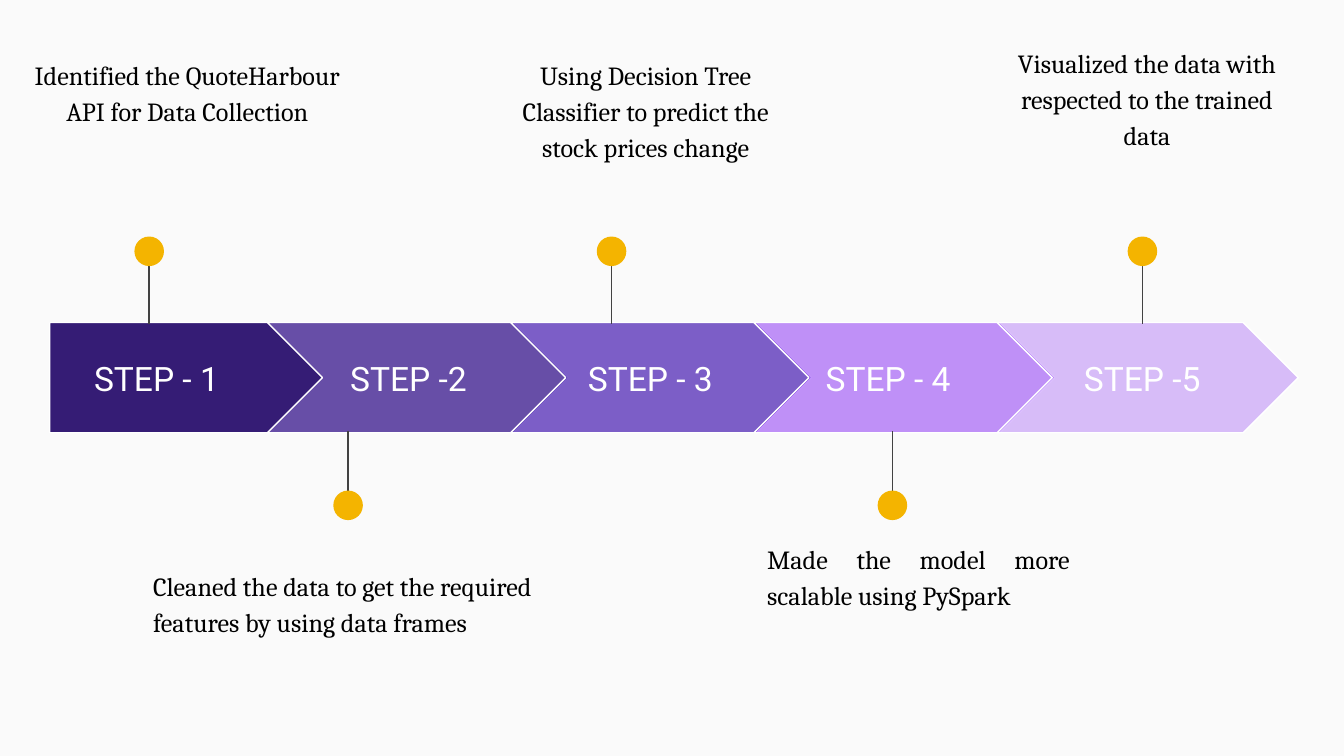
from lxml import etree
from pptx import Presentation
from pptx.dml.color import RGBColor
from pptx.enum.shapes import MSO_CONNECTOR, MSO_SHAPE
from pptx.enum.text import MSO_ANCHOR, PP_ALIGN
from pptx.oxml.ns import qn
from pptx.util import Inches, Pt

PENTAGON, CHEVRON, OVAL = MSO_SHAPE.PENTAGON, MSO_SHAPE.CHEVRON, MSO_SHAPE.OVAL
STRAIGHT = MSO_CONNECTOR.STRAIGHT
TOP, MIDDLE = MSO_ANCHOR.TOP, MSO_ANCHOR.MIDDLE
LEFT, CENTER, JUSTIFY = PP_ALIGN.LEFT, PP_ALIGN.CENTER, PP_ALIGN.JUSTIFY

COLORS = {
    "background": "FAFAFA", "white": "FFFFFF", "black": "000000",
    "pin": "424242", "dot": "F4B400",
    "indigo": "351C75", "purple": "674EA7", "violet": "522BB7", "lilac": "7A15F4",
}

LABEL = {"name": "Roboto", "size": Pt(18), "color": "white"}
NOTE = {"name": "Cambria", "size": Pt(14), "color": "black"}

# Arrow band
ARROW_TOP, ARROW_HEIGHT = 2.4, 0.82
FIRST_LEFT, FIRST_WIDTH = 0.37, 2.05
CHEVRON_LEFT, CHEVRON_WIDTH, CHEVRON_STEP = 1.99, 2.24, 1.81
LABEL_TOP, LABEL_HEIGHT = 2.56, 0.51

# Pins: start of the line, end at the band, top of the dot
DOT_SIZE = 0.22
PIN_ABOVE = (1.8, 2.41, 1.76)
PIN_BELOW = (3.82, 3.21, 3.65)

# label, label left and width, fill, opacity %, pin x, pin, note, note box, alignment
STEPS = [
    ("STEP - 1", 0.37, 1.59, "indigo", 100, 1.11, PIN_ABOVE,
     "Identified the QuoteHarbour API for Data Collection",
     (0.13, 0.31, 2.53, 1.38), CENTER),
    ("STEP -2", 2.32, 1.44, "purple", 100, 2.59, PIN_BELOW,
     "Cleaned the data to get the required features by using data frames",
     (1.04, 4.11, 3.08, 0.99), LEFT),
    ("STEP - 3", 4.12, 1.44, "violet", 75, 4.55, PIN_ABOVE,
     "Using Decision Tree Classifier to predict the stock prices change",
     (3.58, 0.31, 2.45, 1.54), CENTER),
    ("STEP - 4 ", 5.92, 1.44, "lilac", 46, 6.64, PIN_BELOW,
     "Made the model more scalable using PySpark",
     (5.61, 3.91, 2.45, 1.19), JUSTIFY),
    ("STEP -5", 7.78, 1.44, "lilac", 27, 8.5, PIN_ABOVE,
     "Visualized the data with respected to the trained data",
     (7.31, 0.22, 2.45, 1.54), CENTER),
]


def rgb(name):
    return RGBColor.from_string(COLORS[name])


def add_filled_shape(slide, kind, box, color, opacity=100):
    shape = slide.shapes.add_shape(kind, *map(Inches, box))
    shape.shadow.inherit = False
    shape.fill.solid()
    shape.fill.fore_color.rgb = rgb(color)
    if opacity < 100:
        color_element = shape.fill._xPr.find(qn("a:solidFill"))[0]
        etree.SubElement(color_element, qn("a:alpha"), val=str(opacity * 1000))
    shape.line.fill.background()
    return shape


def add_arrow(slide, index, color, opacity):
    if index == 0:
        kind, left, width = PENTAGON, FIRST_LEFT, FIRST_WIDTH
    else:
        kind, width = CHEVRON, CHEVRON_WIDTH
        left = CHEVRON_LEFT + (index - 1) * CHEVRON_STEP
    box = (left, ARROW_TOP, width, ARROW_HEIGHT)
    arrow = add_filled_shape(slide, kind, box, color, opacity)
    arrow.adjustments[0] = 0.5
    arrow.line.color.rgb = rgb("white")
    arrow.line.width = Pt(0.75)


def add_text(slide, text, box, style, alignment, anchor=TOP, spacing=1.0):
    text_box = slide.shapes.add_textbox(*map(Inches, box))
    frame = text_box.text_frame
    frame.word_wrap = True
    frame.vertical_anchor = anchor
    for side in ("left", "top", "right", "bottom"):
        setattr(frame, f"margin_{side}", Inches(0.1))
    paragraph = frame.paragraphs[0]
    paragraph.alignment = alignment
    paragraph.line_spacing = spacing
    run = paragraph.add_run()
    run.text = text
    for attribute, value in style.items():
        if attribute == "color":
            run.font.color.rgb = rgb(value)
        else:
            setattr(run.font, attribute, value)


def add_pin(slide, x, pin):
    start, end, dot_top = pin
    line = slide.shapes.add_connector(
        STRAIGHT, Inches(x), Inches(start), Inches(x), Inches(end))
    line.line.color.rgb = rgb("pin")
    line.line.width = Pt(0.75)
    etree.SubElement(line._element.spPr, qn("a:effectLst"))
    dot_box = (x - DOT_SIZE / 2, dot_top, DOT_SIZE, DOT_SIZE)
    add_filled_shape(slide, OVAL, dot_box, "dot")


def main():
    # Widescreen 16:9 slide
    presentation = Presentation()
    presentation.slide_width = Inches(10)
    presentation.slide_height = Inches(10 * 9 / 16)
    slide = presentation.slides.add_slide(presentation.slide_layouts[6])
    slide.background.fill.solid()
    slide.background.fill.fore_color.rgb = rgb("background")

    # Each step: arrow, label, pin and note
    for index, step in enumerate(STEPS):
        (label, label_left, label_width, color, opacity,
         pin_x, pin, note, note_box, alignment) = step
        add_arrow(slide, index, color, opacity)
        label_box = (label_left, LABEL_TOP, label_width, LABEL_HEIGHT)
        add_text(slide, label, label_box, LABEL, CENTER, anchor=MIDDLE)
        add_pin(slide, pin_x, pin)
        add_text(slide, note, note_box, NOTE, alignment, spacing=1.15)

    presentation.save("out.pptx")


if __name__ == "__main__":
    main()
